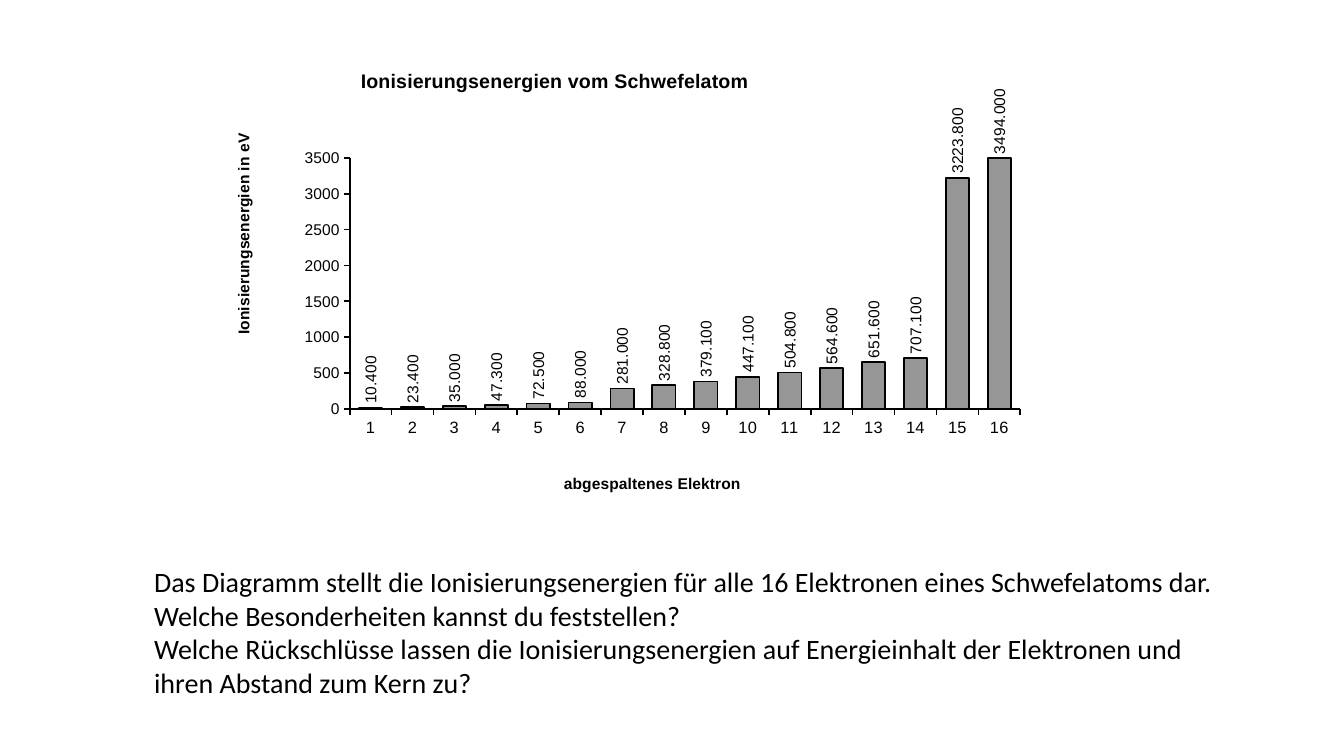
from dataclasses import dataclass
from pptx import Presentation
from pptx.chart.data import CategoryChartData as ChartData
from pptx.dml.color import RGBColor as RGB
from pptx.enum.chart import XL_CHART_TYPE as Kind, XL_LABEL_POSITION as Spot
from pptx.enum.chart import XL_TICK_MARK as Tick
from pptx.enum.text import MSO_AUTO_SIZE as Fit
from pptx.oxml.ns import qn
from pptx.util import Pt
from lxml.etree import SubElement

PX = 9144  # EMU per px, 100 px to the inch


@dataclass(frozen=True)
class Theme:
    ink: RGB = RGB(0, 0, 0)
    bar: RGB = RGB(0x96, 0x96, 0x96)
    sans: str = "Arial"
    body: str = "Calibri"
    head: float = 14
    cat: float = 11.7
    small: float = 11.1
    text: float = 20
    line: float = 1.23


LOOK = Theme()
ENERGY = (10.4, 23.4, 35, 47.3, 72.5, 88, 281, 328.8, 379.1, 447.1,
          504.8, 564.6, 651.6, 707.1, 3223.8, 3494)
TASKS = (
    "Das Diagramm stellt die Ionisierungsenergien für alle 16 Elektronen eines Schwefelatoms dar.",
    "Welche Besonderheiten kannst du feststellen?",
    "Welche Rückschlüsse lassen die Ionisierungsenergien auf Energieinhalt der Elektronen "
    "und ihren Abstand zum Kern zu?",
)


def scale(box):
    return [n * PX for n in box]


def style(font, size, face=LOOK.sans, bold=False):
    font.name, font.size, font.bold = face, Pt(size), bold
    font.color.rgb = LOOK.ink


def stroke(line):
    line.color.rgb = LOOK.ink
    line.width = Pt(LOOK.line)


def turn(body):
    body.set("rot", "-5400000")
    body.set("vert", "horz")


def place(host, **spots):
    """Give a chart part a fixed layout, in shares of the chart."""
    node = host.find(qn("c:layout"))
    if node is None:
        node = host.makeelement(qn("c:layout"), {})
        host.insert(0, node)
    man = SubElement(node, qn("c:manualLayout"))
    for tag, val in spots.items():
        SubElement(man, qn("c:" + tag), val=str(val))


def label(owner, text, size, x, y):
    """Title of the chart or of an axis."""
    title = owner.chart_title if hasattr(owner, "chart_title") else owner.axis_title
    run = title.text_frame.paragraphs[0].add_run()
    run.text = text
    style(run.font, size, bold=True)
    place(title._element, xMode="edge", yMode="edge", x=x, y=y)
    return title


def set_axis(axis, size):
    axis.has_major_gridlines = False
    axis.major_tick_mark, axis.minor_tick_mark = Tick.OUTSIDE, Tick.NONE
    style(axis.tick_labels.font, size)
    stroke(axis.format.line)


def draw_chart(slide, box):
    data = ChartData()
    data.categories = [str(n) for n in range(1, len(ENERGY) + 1)]
    data.add_series("Series 1", ENERGY)
    chart = slide.shapes.add_chart(Kind.COLUMN_CLUSTERED, *scale(box), data).chart
    chart.has_legend = False
    style(chart.font, LOOK.cat)
    place(chart._chartSpace.chart.plotArea, layoutTarget="inner", xMode="edge",
          yMode="edge", x=0.191, y=0.228, w=0.79, h=0.532)

    # Axes and titles
    cat, val = chart.category_axis, chart.value_axis
    set_axis(cat, LOOK.cat)
    set_axis(val, LOOK.small)
    val.minimum_scale, val.maximum_scale, val.major_unit = 0, 3500, 500
    val.tick_labels.number_format = "0"
    val.tick_labels.number_format_is_linked = False
    label(chart, "Ionisierungsenergien vom Schwefelatom", LOOK.head, 0.2, 0.03)
    label(cat, "abgespaltenes Elektron", LOOK.small, 0.44, 0.89)
    side = label(val, "Ionisierungsenergien in eV", LOOK.small, 0.05, 0.17)
    turn(side.text_frame._txBody.bodyPr)

    # Bars and their upright values
    plot = chart.plots[0]
    plot.gap_width, plot.vary_by_categories = 80, False
    bars = plot.series[0]
    bars.format.fill.solid()
    bars.format.fill.fore_color.rgb = LOOK.bar
    stroke(bars.format.line)
    tags = bars.data_labels
    tags.show_value, tags.position = True, Spot.OUTSIDE_END
    tags.number_format, tags.number_format_is_linked = "0.000", False
    style(tags.font, LOOK.small)
    turn(tags._element.find(qn("c:txPr")).find(qn("a:bodyPr")))


def draw_tasks(slide, box):
    frame = slide.shapes.add_textbox(*scale(box)).text_frame
    frame.word_wrap, frame.auto_size = True, Fit.SHAPE_TO_FIT_TEXT
    for i, text in enumerate(TASKS):
        para = frame.add_paragraph() if i else frame.paragraphs[0]
        run = para.add_run()
        run.text = text
        style(run.font, LOOK.text, LOOK.body)


def main():
    deck = Presentation()
    deck.slide_width, deck.slide_height = scale((1333, 750))
    slide = deck.slides.add_slide(deck.slide_layouts[6])
    draw_chart(slide, (186, 50, 842, 468))
    draw_tasks(slide, (143, 555, 1103, 145))
    deck.save("out.pptx")


if __name__ == "__main__":
    main()
